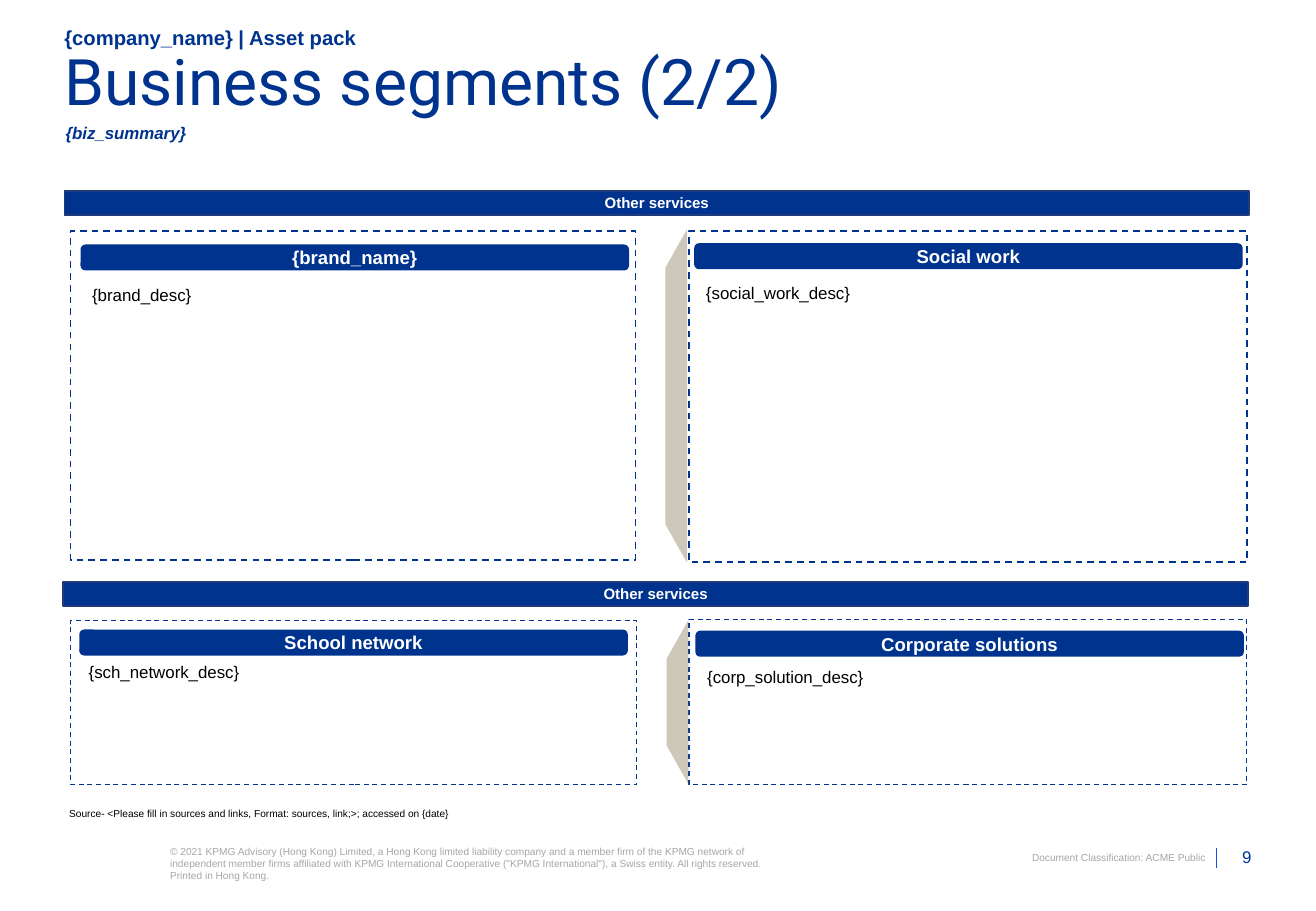
from dataclasses import dataclass

import pptx
import pptx.dml.color
import pptx.enum.dml
import pptx.enum.shapes
import pptx.enum.text
import pptx.oxml
import pptx.util
from lxml import etree
from pptx.util import Inches

SHAPE = pptx.enum.shapes.MSO_SHAPE
ALIGN = pptx.enum.text.PP_ALIGN
ANCHOR = pptx.enum.text.MSO_ANCHOR


@dataclass(frozen=True)
class Theme:
    heading_font: str = "Roboto"
    body_font: str = "Arial"
    blue: str = "00338D"
    band_edge: str = "213A7D"
    rule: str = "1E49E2"
    sand: str = "9D9375"
    grey: str = "A6A6A6"
    black: str = "000000"
    white: str = "FFFFFF"
    title_size: float = 38
    kicker_size: float = 12
    header_size: float = 11
    body_size: float = 10
    band_size: float = 8.9
    small_size: float = 6


class SlideBuilder:
    def __init__(self, presentation, theme):
        self.theme = theme
        self.slide = presentation.slides.add_slide(presentation.slide_layouts[5])

    def color(self, value):
        return pptx.dml.color.RGBColor.from_string(value)

    def set_text(self, shape, text, size, color, inset=0, align=ALIGN.LEFT,
                 anchor=ANCHOR.TOP, bold=False, italic=False, font=None, wrap=True):
        frame = shape.text_frame
        frame.auto_size = pptx.enum.text.MSO_AUTO_SIZE.NONE
        frame.word_wrap = wrap
        frame.vertical_anchor = anchor
        frame.margin_left = frame.margin_right = Inches(inset)
        frame.margin_top = frame.margin_bottom = Inches(min(inset, 0.06))
        frame.text = text
        paragraph = frame.paragraphs[0]
        paragraph.alignment = align
        paragraph.font.name = font or self.theme.body_font
        paragraph.font.size = pptx.util.Pt(size)
        paragraph.font.bold = bold
        paragraph.font.italic = italic
        paragraph.font.color.rgb = self.color(color)
        return paragraph

    def title(self, text, box):
        heading = self.slide.shapes.title
        heading.left, heading.top, heading.width, heading.height = map(Inches, box)
        paragraph = self.set_text(heading, text, self.theme.title_size, self.theme.blue,
                                  anchor=ANCHOR.MIDDLE, font=self.theme.heading_font)
        paragraph.line_spacing = 0.7

    def text(self, text, box, size, color, **style):
        area = self.slide.shapes.add_textbox(*map(Inches, box))
        self.set_text(area, text, size, color, **style)

    def shape(self, kind, box, fill=None, line=None, weight=1.0):
        item = self.slide.shapes.add_shape(kind, *map(Inches, box))
        item.shadow.inherit = False
        if fill:
            item.fill.solid()
            item.fill.fore_color.rgb = self.color(fill)
        else:
            item.fill.background()
        if line:
            item.line.color.rgb = self.color(line)
            item.line.width = pptx.util.Pt(weight)
        else:
            item.line.fill.background()
        return item

    def band(self, text, left, top):
        bar = self.shape(SHAPE.RECTANGLE, (left, top, 9.75, 0.2),
                         self.theme.blue, self.theme.band_edge)
        self.set_text(bar, text, self.theme.band_size, self.theme.white, 0.05,
                      ALIGN.CENTER, ANCHOR.MIDDLE, bold=True)

    def segment(self, name, description, frame, header, body, weight, inset):
        border = self.shape(SHAPE.RECTANGLE, frame, line=self.theme.blue, weight=weight)
        border.line.dash_style = pptx.enum.dml.MSO_LINE.DASH
        tab = self.shape(SHAPE.ROUNDED_RECTANGLE, (*header, 4.5, 0.2),
                         self.theme.blue, self.theme.blue)
        self.set_text(tab, name, self.theme.header_size, self.theme.white, 0.06,
                      ALIGN.CENTER, ANCHOR.MIDDLE, bold=True)
        self.text(description, body, self.theme.body_size, self.theme.black, inset=inset)

    def wedge(self, box):
        fold = self.shape(SHAPE.TRAPEZOID, box, self.theme.sand)
        fold.rotation = 270
        fold.adjustments[0] = 1.775
        tint = fold._element.spPr.find(".//" + pptx.oxml.ns.qn("a:srgbClr"))
        etree.SubElement(tint, pptx.oxml.ns.qn("a:alpha"), val="50000")

    def rule(self, x, top, bottom):
        line = self.slide.shapes.add_connector(
            pptx.enum.shapes.MSO_CONNECTOR.STRAIGHT, *map(Inches, (x, top, x, bottom)))
        line.line.color.rgb = self.color(self.theme.rule)
        line.line.width = pptx.util.Pt(0.5)
        etree.SubElement(line._element.spPr, pptx.oxml.ns.qn("a:effectLst"))


def main():
    presentation = pptx.Presentation()
    presentation.slide_width = Inches(10.83)
    presentation.slide_height = Inches(7.5)
    theme = Theme()
    page = SlideBuilder(presentation, theme)

    # Heading
    page.title("Business segments (2/2)", (0.53, 0.34, 9.75, 0.79))
    page.text("{company_name} | Asset pack", (0.53, 0.22, 9.75, 0.19),
              theme.kicker_size, theme.blue, anchor=ANCHOR.BOTTOM, bold=True)
    page.text("{biz_summary}", (0.54, 1.01, 9.76, 0.35),
              theme.body_size, theme.blue, bold=True, italic=True)

    # Section bands
    for left, top in ((0.53, 1.57), (0.52, 4.79)):
        page.band("Other services", left, top)

    # Segments: name, description, frame, header corner, body, line weight, inset
    segments = (
        ("{brand_name}", "{brand_desc}", (0.58, 1.9, 4.65, 2.71),
         (0.67, 2.02), (0.66, 2.28, 4.49, 0.27), 1, 0.1),
        ("Social work", "{social_work_desc}", (5.67, 1.9, 4.59, 2.73),
         (5.72, 2.01), (5.76, 2.28, 4.41, 2.33), 1, 0.05),
        ("School network", "{sch_network_desc}", (0.58, 5.11, 4.66, 1.35),
         (0.66, 5.19), (0.67, 5.39, 4.48, 1.05), 0.75, 0.06),
        ("Corporate solutions", "{corp_solution_desc}", (5.67, 5.1, 4.59, 1.36),
         (5.73, 5.2), (5.76, 5.43, 4.48, 1.35), 0.75, 0.06),
    )
    for segment in segments:
        page.segment(*segment)

    # Wedges between the columns
    for box in ((4.19, 3.17, 2.75, 0.18), (4.9, 5.69, 1.35, 0.18)):
        page.wedge(box)

    # Source and footer
    page.text("Source- <Please fill in sources and links, Format: sources, link;>; "
              "accessed on {date}", (0.51, 6.59, 9.75, 0.22),
              theme.small_size, theme.black, inset=0.06, anchor=ANCHOR.MIDDLE)
    page.text("© 2021 KPMG Advisory (Hong Kong) Limited, a Hong Kong limited liability "
              "company and a member firm of the KPMG network of independent member firms "
              "affiliated with KPMG International Cooperative (\"KPMG International\"), "
              "a Swiss entity. All rights reserved. Printed in Hong Kong.",
              (1.4, 6.96, 4.99, 0.3), theme.small_size, theme.grey)
    page.text("Document Classification: ACME Public", (8.46, 7.01, 1.46, 0.1),
              theme.small_size, theme.grey, align=ALIGN.RIGHT, wrap=False)
    page.rule(10.01, 6.98, 7.15)
    page.text("9", (10.03, 6.98, 0.27, 0.16), theme.body_size, theme.blue,
              align=ALIGN.RIGHT, anchor=ANCHOR.BOTTOM)

    presentation.save("out.pptx")


if __name__ == "__main__":
    main()
